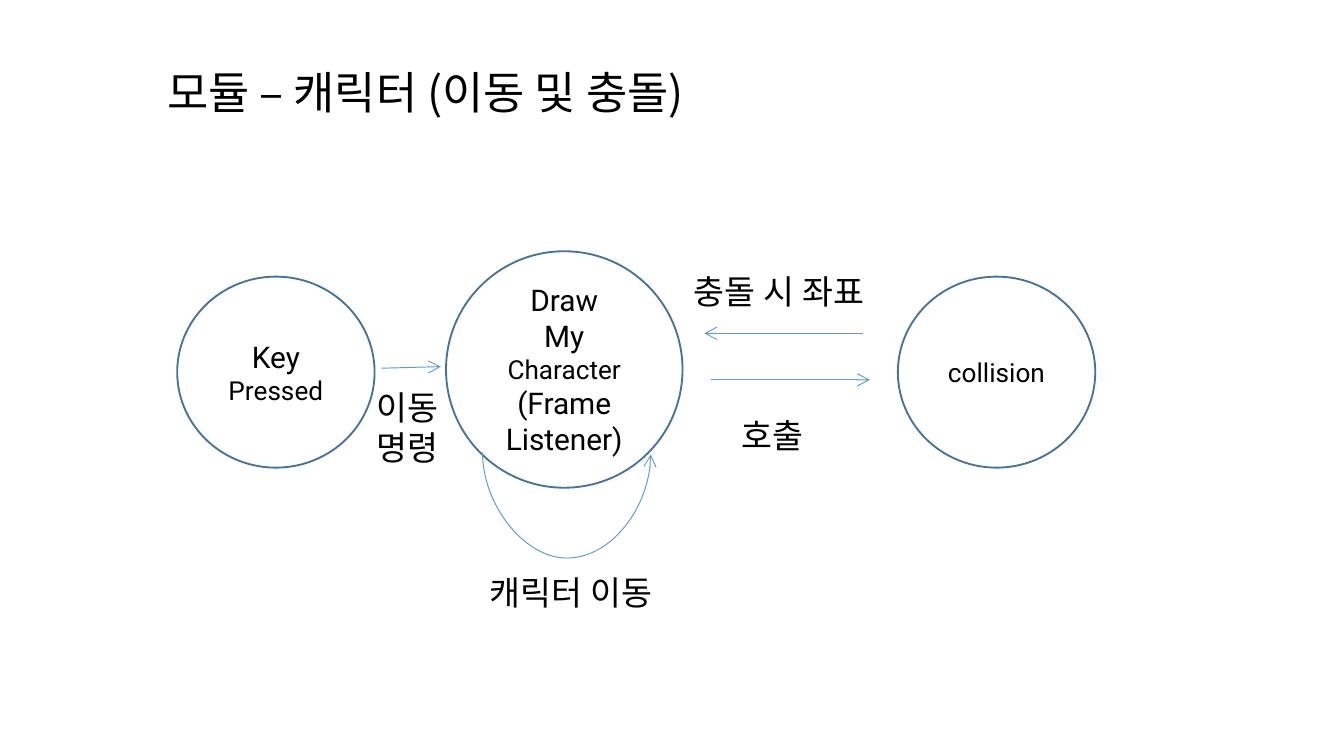
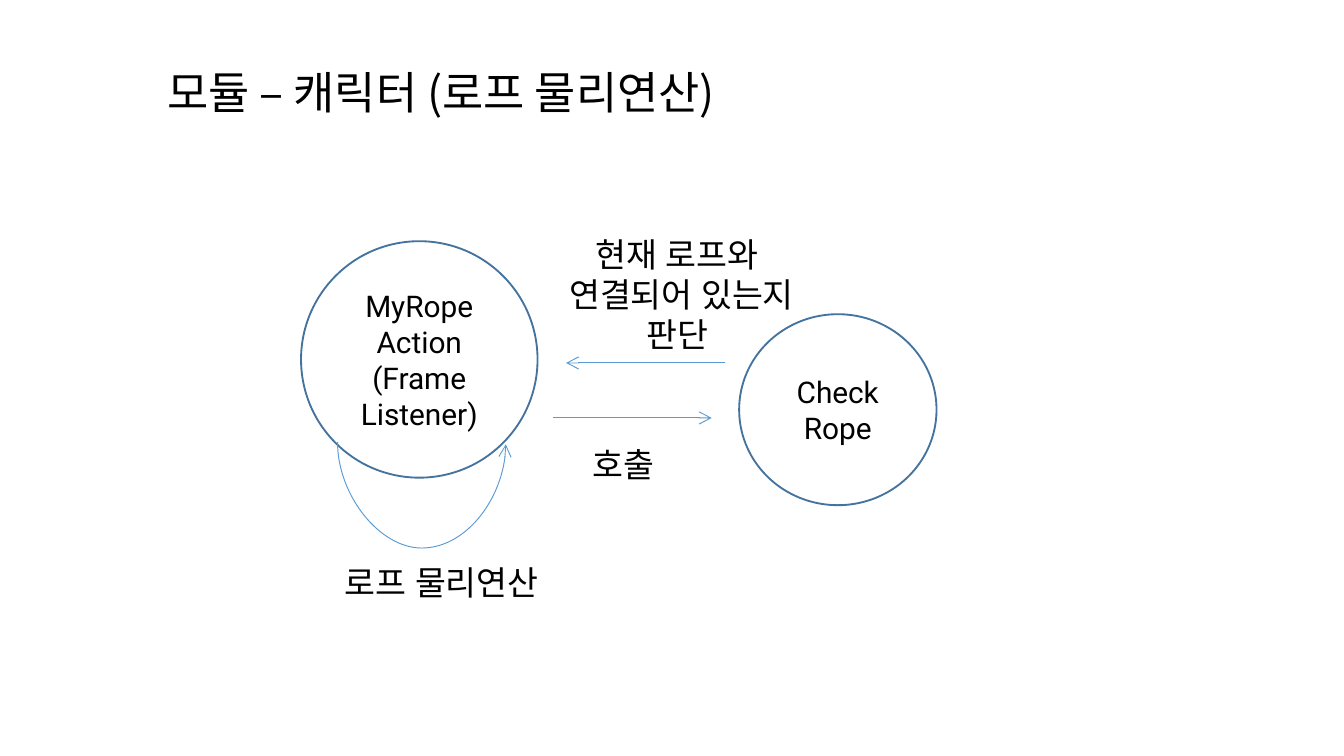
from lxml import etree
from pptx import Presentation
from pptx import util as u
from pptx.dml.color import RGBColor
from pptx.enum import shapes, text
from pptx.oxml.ns import qn

BLACK, OUTLINE, ARROW = "000000", "43739E", "5B9BD5"
TITLE_FONT, BODY_FONT = "Noto Sans CJK KR", "Roboto"
TITLE_BOX = (2.97, 1.12, 11.63, 1.22)
LARGE, SMALL = (4.47, 4.47), (3.73, 3.61)
LOOP_OFFSET, LOOP_WIDTH, LOOP_RISE, LOOP_DEPTH = (0.69, 3.82), 3.18, 0.04, 50
LOOP_LABEL_OFFSET, LOOP_LABEL_SIZE = (0.58, 5.94), (4.93, 1.02)

SLIDES = [
    {
        "title": "모듈 – 캐릭터 (이동 및 충돌)",
        "loop": ((8.43, 4.75), "캐릭터 이동"),
        "circles": [
            ((8.43, 4.75), LARGE, [("Draw", 16), ("My", 16), ("Character", 14),
                                   ("(Frame", 16), ("Listener)", 16)]),
            ((16.97, 5.23), SMALL, [("collision", 14)]),
            ((3.35, 5.23), SMALL, [("Key", 16), ("Pressed", 14)]),
        ],
        "arrows": [
            (13.44, 7.18, 16.44, 7.18),
            (16.31, 6.3, 13.31, 6.3),
            (7.21, 6.96, 8.33, 6.93),
        ],
        "labels": [
            ((12.85, 5.0, 3.96, 1.02), ["충돌 시 좌표"], False),
            ((13.77, 7.72, 2.39, 1.02), ["호출"], False),
            ((6.86, 7.19, 2.39, 1.8), ["이동 명령"], False),
        ],
    },
    {
        "title": "모듈 – 캐릭터 (로프 물리연산)",
        "loop": ((5.69, 4.56), "로프 물리연산"),
        "circles": [
            ((5.69, 4.56), LARGE, [("MyRope", 16), ("Action", 16),
                                   ("(Frame", 16), ("Listener)", 16)]),
            ((13.97, 5.94), SMALL, [("Check", 16), ("Rope", 16)]),
        ],
        "arrows": [
            (10.45, 7.9, 13.45, 7.9),
            (13.7, 6.86, 10.7, 6.86),
        ],
        "labels": [
            ((10.24, 4.29, 5.28, 2.57),
             ["현재 로프와 ", "연결되어 있는지", "판단 "], True),
            ((10.95, 8.26, 2.39, 1.02), ["호출"], False),
        ],
    },
]


def color(value):
    return RGBColor.from_string(value)


def lengths(values):
    return [u.Cm(value) for value in values]


def write(frame, lines, font, centered=False):
    frame.word_wrap = True
    for index, (line, size) in enumerate(lines):
        para = frame.add_paragraph() if index else frame.paragraphs[0]
        span = para.add_run()
        span.text = line
        para.alignment = text.PP_ALIGN.CENTER if centered else text.PP_ALIGN.LEFT
        para.font.size = u.Pt(size)
        para.font.name = font
        para.font.color.rgb = color(BLACK)
        properties = para.font._element
        etree.SubElement(properties, qn("a:ea")).set("typeface", font)


def add_text(page, place, lines, font, centered=False):
    box = page.shapes.add_textbox(*lengths(place))
    write(box.text_frame, lines, font, centered)
    return box


def add_title(page, title):
    frame = add_text(page, TITLE_BOX, [(title, 24)], TITLE_FONT).text_frame
    frame.margin_left = frame.margin_right = u.Cm(0.19)
    frame.margin_top = frame.margin_bottom = u.Cm(0.1)


def add_circle(page, corner, size, lines):
    circle = page.shapes.add_shape(shapes.MSO_SHAPE.OVAL, *lengths(corner + size))
    circle.shadow.inherit = False
    circle.fill.background()
    circle.line.color.rgb = color(OUTLINE)
    circle.line.width = u.Pt(1)
    circle.text_frame.vertical_anchor = text.MSO_ANCHOR.MIDDLE
    write(circle.text_frame, lines, BODY_FONT, centered=True)


def add_arrow(page, ends, kind=shapes.MSO_CONNECTOR.STRAIGHT):
    arrow = page.shapes.add_connector(kind, *lengths(ends))
    arrow.line.color.rgb = color(ARROW)
    arrow.line.width = u.Pt(0.5)
    etree.SubElement(arrow.line._get_or_add_ln(), qn("a:tailEnd")).set("type", "arrow")
    etree.SubElement(arrow._element.spPr, qn("a:effectLst"))
    return arrow


def add_loop(page, corner, label):
    left, middle = (a + b for a, b in zip(corner, LOOP_OFFSET))
    center = left + LOOP_WIDTH / 2
    ends = (center + LOOP_RISE / 2, middle - LOOP_WIDTH / 2,
            center - LOOP_RISE / 2, middle + LOOP_WIDTH / 2)
    loop = add_arrow(page, ends, shapes.MSO_CONNECTOR.CURVE)
    properties = loop._element.spPr
    properties.find(qn("a:xfrm")).set("rot", str(270 * 60000))
    geometry = properties.find(qn("a:prstGeom"))
    adjustments = geometry.find(qn("a:avLst"))
    if adjustments is None:
        adjustments = etree.SubElement(geometry, qn("a:avLst"))
    guide = etree.SubElement(adjustments, qn("a:gd"))
    guide.set("name", "adj1")
    guide.set("fmla", f"val {LOOP_DEPTH * 100000}")
    place = tuple(a + b for a, b in zip(corner, LOOP_LABEL_OFFSET)) + LOOP_LABEL_SIZE
    add_text(page, place, [(label, 18)], BODY_FONT)


def main():
    deck = Presentation()
    deck.slide_width, deck.slide_height = lengths((25.4, 14.29))
    for content in SLIDES:
        page = deck.slides.add_slide(deck.slide_layouts[6])
        add_title(page, content["title"])
        for circle in content["circles"]:
            add_circle(page, *circle)
        for ends in content["arrows"]:
            add_arrow(page, ends)
        for place, lines, centered in content["labels"]:
            add_text(page, place, [(line, 18) for line in lines], BODY_FONT, centered)
        add_loop(page, *content["loop"])
    deck.save("out.pptx")


if __name__ == "__main__":
    main()
